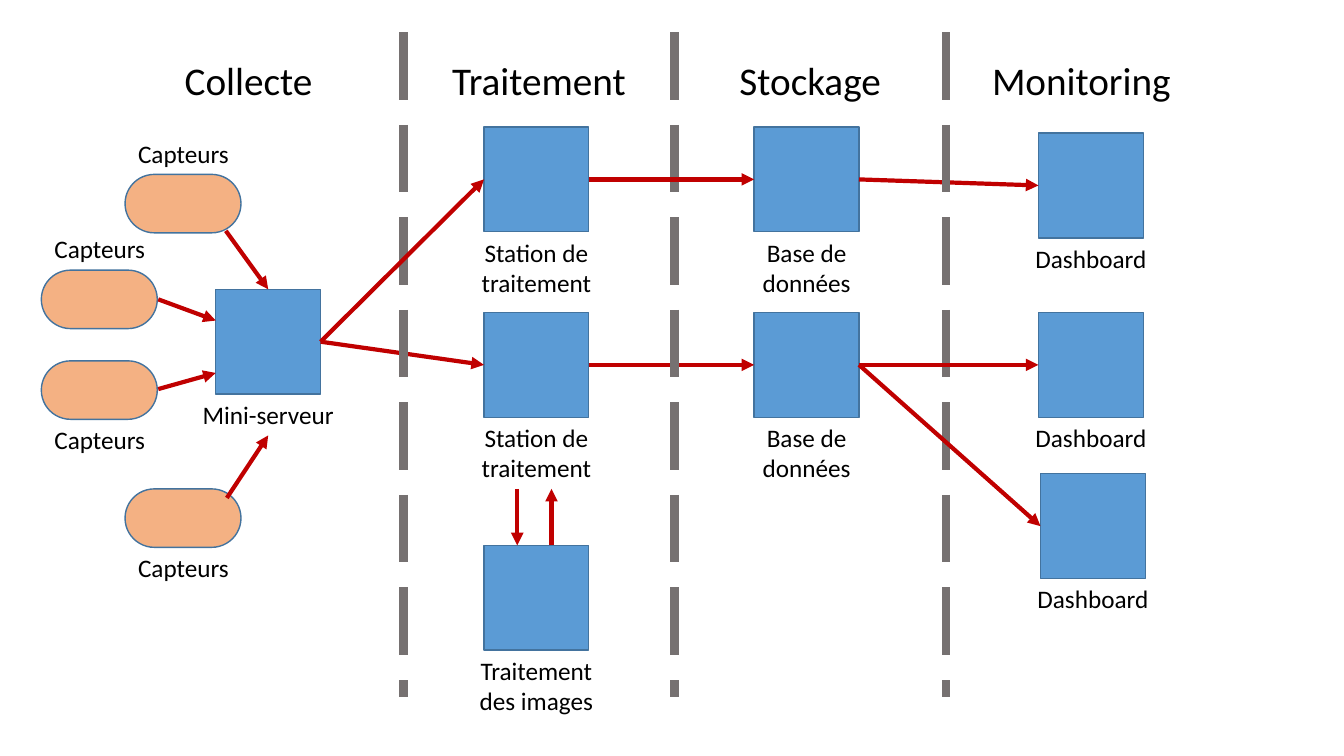
from pptx import Presentation
from pptx.dml.color import RGBColor
from pptx.enum.dml import MSO_LINE
from pptx.enum.shapes import MSO_CONNECTOR, MSO_SHAPE
from pptx.enum.text import MSO_ANCHOR, PP_ALIGN
from pptx.oxml.ns import qn
from pptx.util import Inches, Pt
from lxml.etree import SubElement

BLUE = RGBColor(0x5B, 0x9B, 0xD5)
EDGE = RGBColor(0x43, 0x73, 0x9E)
PEACH = RGBColor(0xF4, 0xB1, 0x83)
RED = RGBColor(0xC0, 0x00, 0x00)
GREY = RGBColor(0x76, 0x71, 0x71)
BLACK = RGBColor(0x00, 0x00, 0x00)

SIDE = 1.04
WIDE, HIGH = 1.15, 0.58
LABEL = 1.7
LEFT, RIGHT = 1, 3

FRAME = {"word_wrap": True, "vertical_anchor": MSO_ANCHOR.TOP}
FONT = {"name": "Calibri"}


def apply(item, values):
    for name, value in values.items():
        setattr(item, name, value)


def write(slide, text, left, top, width, height, size=18):
    box = slide.shapes.add_textbox(
        Inches(left), Inches(top), Inches(width), Inches(height))
    apply(box.text_frame, FRAME)
    para = box.text_frame.paragraphs[0]
    para.alignment = PP_ALIGN.CENTER
    run = para.add_run()
    run.text = text
    apply(run.font, {**FONT, "size": Pt(size)})
    run.font.color.rgb = BLACK


def block(slide, kind, fill, left, top, width, height):
    shape = slide.shapes.add_shape(
        kind, Inches(left), Inches(top), Inches(width), Inches(height))
    shape.shadow.inherit = False
    shape.fill.solid()
    shape.fill.fore_color.rgb = fill
    shape.line.color.rgb = EDGE
    shape.line.width = Pt(1)
    return shape


def line(slide, start, end, color, width):
    points = [Inches(value) for value in (*start, *end)]
    link = slide.shapes.add_connector(MSO_CONNECTOR.STRAIGHT, *points)
    link.line.color.rgb = color
    link.line.width = Pt(width)
    SubElement(link._element.spPr, qn("a:effectLst"))
    return link


def arrow(slide, start, end):
    link = line(slide, start, end, RED, 3)
    SubElement(link.line._get_or_add_ln(), qn("a:tailEnd"), type="triangle")
    return link


def join(slide, first, last):
    link = arrow(slide, (0, 0), (1, 1))
    link.begin_connect(first, RIGHT)
    link.end_connect(last, LEFT)


def node(slide, text, left, top, rows=1):
    shape = block(slide, MSO_SHAPE.RECTANGLE, BLUE, left, top, SIDE, SIDE)
    write(slide, text, left + (SIDE - LABEL) / 2, top + SIDE,
          LABEL, 0.41 if rows == 1 else 0.71)
    return shape


def sensor(slide, left, top, above):
    shape = block(slide, MSO_SHAPE.ROUNDED_RECTANGLE, PEACH,
                  left, top, WIDE, HIGH)
    shape.adjustments[0] = 0.5
    shift = -0.41 if above else HIGH
    write(slide, "Capteurs", left, top + shift, WIDE + 0.01, 0.4)


def collect(slide, left, top):
    write(slide, "Collecte", left + 1.08, top, 1.95, 0.57, 28)
    hub = node(slide, "Mini-serveur", left + 1.73, top + 2.36)
    for x, y, above in ((0.83, 1.22, True), (0, 2.17, True),
                        (0, 3.07, False), (0.83, 4.34, False)):
        sensor(slide, left + x, top + y, above)
    for x, y, to_x, to_y in ((1.83, 1.78, 2.25, 2.36),
                             (1.16, 2.46, 1.73, 2.67),
                             (1.16, 3.35, 1.73, 3.19),
                             (1.84, 4.43, 2.25, 3.81)):
        arrow(slide, (left + x, top + y), (left + to_x, top + to_y))
    return hub


def process(slide, left, top):
    write(slide, "Traitement", left, top, 1.95, 0.57, 28)
    inner = left + 0.43
    high, low = [node(slide, "Station de traitement", inner, top + y, 2)
                 for y in (0.75, 2.59)]
    node(slide, "Traitement des images", inner, top + 4.9, 2)
    for x, y, to_y in ((0.33, 4.34, 4.9), (0.67, 4.9, 4.34)):
        arrow(slide, (inner + x, top + y), (inner + x, top + to_y))
    return high, low


def store(slide, left, top):
    write(slide, "Stockage", left, top, 1.95, 0.57, 28)
    return [node(slide, "Base de données", left + 0.42, top + y, 2)
            for y in (0.75, 2.59)]


def watch(slide, left, top):
    write(slide, "Monitoring", left, top, 2.09, 0.57, 28)
    return [node(slide, "Dashboard", left + x, top + y)
            for x, y in ((0.62, 0.81), (0.62, 2.59), (0.64, 4.19))]


def divide(slide, top, bottom):
    for part in range(3):
        x = 4 + 2.69 * part
        rule = line(slide, (x, top), (x, bottom), GREY, 6)
        rule.line.dash_style = MSO_LINE.LONG_DASH


def main():
    deck = Presentation()
    apply(deck, {"slide_width": Inches(13.33), "slide_height": Inches(7.5)})
    slide = deck.slides.add_slide(deck.slide_layouts[6])
    top = 0.51
    hub = collect(slide, 0.41, top)
    high, low = process(slide, 4.37, top)
    base, bank = store(slide, 7.06, top)
    first, second, third = watch(slide, 9.68, top)
    for pair in ((hub, low), (low, bank), (base, first)):
        join(slide, *pair)
    divide(slide, 0.32, 6.91)
    for pair in ((bank, second), (hub, high), (high, base), (bank, third)):
        join(slide, *pair)
    deck.save("out.pptx")


if __name__ == "__main__":
    main()
